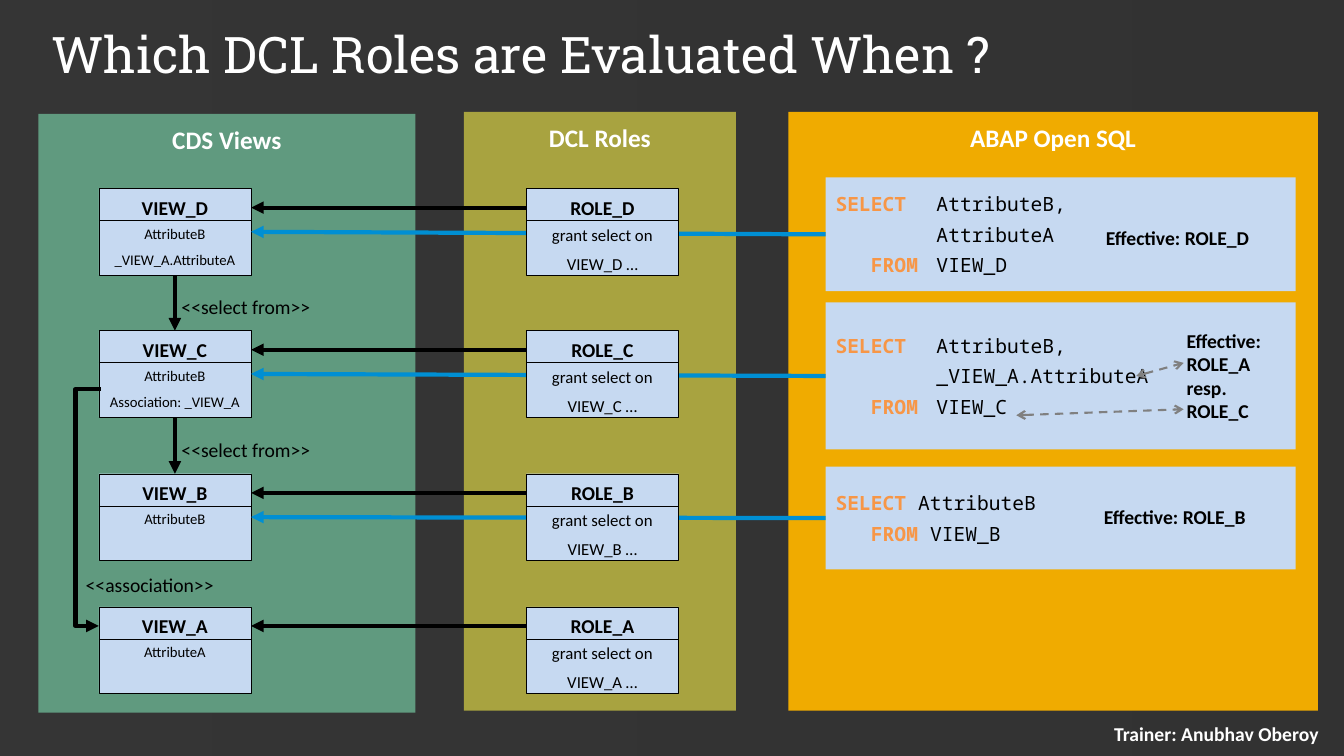
import pptx
import pptx.dml.color
import pptx.enum.dml
import pptx.enum.shapes
import pptx.enum.text
import pptx.oxml
import pptx.oxml.ns
import pptx.util
from lxml import etree

Inches = pptx.util.Inches
ALIGN = pptx.enum.text.PP_ALIGN
ANCHOR = pptx.enum.text.MSO_ANCHOR
CONNECTOR = pptx.enum.shapes.MSO_CONNECTOR

COLORS = {
    "white": "FFFFFF", "edge": "D9D9D9", "dark": "262626", "black": "000000",
    "green": "609A7F", "olive": "A8A340", "amber": "F0AB00", "card": "C6D9F1",
    "blue": "008FD3", "keyword": "F79646", "gray": "808080",
}
WIDTH, HEIGHT = 13.33, 7.5
TOP, BOTTOM, LEFT, RIGHT = 0, 2, 1, 3  # connection sites of a rectangle

PANELS = [  # heading, fill, box
    ("ABAP Open SQL", "amber", (7.82, 1.11, 5.25, 5.94)),
    ("DCL Roles", "olive", (4.6, 1.11, 2.7, 5.94)),
    ("CDS Views", "green", (0.38, 1.13, 3.74, 5.94)),
]
ROWS = {"D": 1.87, "C": 3.28, "B": 4.7, "A": 6.02}
VIEW_COLUMN, ROLE_COLUMN, CODE_COLUMN = 0.98, 5.22, 8.19
CARD_WIDTH, CARD_HEIGHT, HEADER_HEIGHT, CODE_WIDTH = 1.51, 0.86, 0.32, 4.66
HEADER_MIDDLE = 0.19
VIEW_LINES = {
    "D": ["AttributeB", "_VIEW_A.AttributeA"],
    "C": ["AttributeB", "Association: _VIEW_A"],
    "B": ["AttributeB"],
    "A": ["AttributeA"],
}
QUERIES = {  # row: top, height, lines of (text, is keyword)
    "D": (1.76, 1.13, [[("SELECT", True), ("\tAttributeB,", False)],
                       [("\tAttributeA", False)],
                       [("   FROM", True), ("\tVIEW_D", False)]]),
    "C": (3.0, 1.46, [[("SELECT", True), ("\tAttributeB,", False)],
                      [("\t_VIEW_A.AttributeA", False)],
                      [("   FROM", True), ("\tVIEW_C", False)]]),
    "B": (4.63, 1.02, [[("SELECT ", True), ("AttributeB", False)],
                       [("   FROM ", True), ("VIEW_B", False)]]),
}
LABELS = [  # text, box
    ("<<select from>>", (1.8, 2.93, 1.61, 0.24)),
    ("<<select from>>", (1.8, 4.34, 1.61, 0.24)),
    ("<<association>>", (0.85, 5.68, 1.75, 0.24)),
]
EFFECTIVE = [
    ("Effective: ROLE_D", (10.87, 2.19, 1.99, 0.34)),
    ("Effective: ROLE_A resp. ROLE_C", (11.67, 3.21, 1.1, 1.04)),
    ("Effective: ROLE_B", (10.85, 4.96, 1.93, 0.34)),
]
DASHED_ARROWS = [((10.08, 4.12), (11.74, 4.06)), ((11.27, 3.73), (11.74, 3.6))]


def color(name):
    return pptx.dml.color.RGBColor.from_string(COLORS[name])


def set_all(target, values):
    for name, value in values.items():
        setattr(target, name, value)


def format_font(font, size, color_name="white", bold=False, name="Calibri"):
    set_all(font, {"size": pptx.util.Pt(size), "name": name, "bold": bold})
    font.color.rgb = color(color_name)


def format_frame(frame, insets=(0, 0), anchor=ANCHOR.TOP):
    """Set wrapping, anchor and the (side, top and bottom) insets."""
    side, end = map(Inches, insets)
    set_all(frame, {
        "word_wrap": True, "vertical_anchor": anchor, "margin_left": side,
        "margin_right": side, "margin_top": end, "margin_bottom": end,
    })


def write_lines(frame, lines, size, color_name="black", bold=False,
                align=ALIGN.LEFT, gap=6):
    for index, line in enumerate(lines):
        paragraph = frame.add_paragraph() if index else frame.paragraphs[0]
        set_all(paragraph, {"alignment": align,
                            "space_before": pptx.util.Pt(gap if index else 0)})
        run = paragraph.add_run()
        run.text = line
        format_font(run.font, size, color_name, bold)


def add_rectangle(slide, box, fill, border=None):
    shape = slide.shapes.add_shape(
        pptx.enum.shapes.MSO_SHAPE.RECTANGLE, *map(Inches, box))
    shape.shadow.inherit = False
    shape.fill.solid()
    shape.fill.fore_color.rgb = color(fill)
    if border:
        shape.line.color.rgb = color("black")
        shape.line.width = pptx.util.Pt(border)
    else:
        shape.line.fill.background()
    return shape


def add_text(slide, box, lines, size, insets=(0, 0), anchor=ANCHOR.TOP, **style):
    frame = slide.shapes.add_textbox(*map(Inches, box)).text_frame
    format_frame(frame, insets, anchor)
    write_lines(frame, lines, size, **style)


def add_line(slide, start, end, color_name="black", width=3, head=None,
             tail="triangle", kind=CONNECTOR.STRAIGHT):
    connector = slide.shapes.add_connector(kind, *map(Inches, (*start, *end)))
    connector.line.color.rgb = color(color_name)
    connector.line.width = pptx.util.Pt(width)
    outline = connector.line._get_or_add_ln()
    for tag, arrow in (("a:headEnd", head), ("a:tailEnd", tail)):
        if arrow:
            etree.SubElement(outline, pptx.oxml.ns.qn(tag), type=arrow)
    etree.SubElement(connector.element.spPr, pptx.oxml.ns.qn("a:effectLst"))
    return connector


def join(slide, source, source_site, target, target_site, color_name="black"):
    connector = add_line(slide, (0, 0), (1, 1), color_name)
    connector.begin_connect(source, source_site)
    connector.end_connect(target, target_site)


def add_panel(slide, heading, fill, box):
    frame = add_rectangle(slide, box, fill).text_frame
    format_frame(frame, (0.1, 0.1))
    write_lines(frame, [heading], 18, "white", True, ALIGN.CENTER)


def add_card(slide, left, top, heading, lines, size):
    card = add_rectangle(slide, (left, top, CARD_WIDTH, CARD_HEIGHT), "card", 0.25)
    divider = top + HEADER_HEIGHT
    add_line(slide, (left, divider), (left + CARD_WIDTH, divider), width=0.5, tail=None)
    add_text(slide, (left, top + 0.07, CARD_WIDTH, 0.24), [heading], 14,
             bold=True, align=ALIGN.CENTER)
    add_text(slide, (left, divider + 0.04, CARD_WIDTH, 0.49), lines, size,
             align=ALIGN.CENTER)
    return card


def add_query(slide, top, height, lines):
    shape = add_rectangle(slide, (CODE_COLUMN, top, CODE_WIDTH, height), "card")
    frame = shape.text_frame
    format_frame(frame, (0.1, 0.08), ANCHOR.MIDDLE)
    for index, pieces in enumerate(lines):
        paragraph = frame.add_paragraph() if index else frame.paragraphs[0]
        set_all(paragraph, {"alignment": ALIGN.LEFT,
                            "space_before": pptx.util.Pt(5 if index else 0)})
        tabs = etree.SubElement(paragraph._p.get_or_add_pPr(), pptx.oxml.ns.qn("a:tabLst"))
        etree.SubElement(tabs, pptx.oxml.ns.qn("a:tab"), pos=str(Inches(1)), algn="l")
        for text, is_keyword in pieces:
            run = paragraph.add_run()
            run.text = text
            format_font(run.font, 14, "keyword" if is_keyword else "black",
                        is_keyword, "Noto Sans Mono")
    return shape


def add_association(slide):
    """Draw the elbow that leaves VIEW_C on the left and returns to VIEW_A."""
    start = (VIEW_COLUMN + 0.02, ROWS["C"] + 0.58)
    end = (VIEW_COLUMN, ROWS["A"] + HEADER_MIDDLE)
    elbow = add_line(slide, start, end, kind=CONNECTOR.ELBOW)
    adjustments = elbow.element.xpath(".//a:avLst")[0]
    etree.SubElement(adjustments, pptx.oxml.ns.qn("a:gd"), name="adj1",
                     fmla="val 1250000")


def add_backdrop(slide):
    fill = slide.background.fill
    fill.gradient()
    for stop, name in zip(fill.gradient_stops, ("white", "edge")):
        stop.color.rgb = color(name)
    veil = add_rectangle(slide, (0, 0, WIDTH, HEIGHT), "dark")
    tint = veil.element.xpath("./p:spPr/a:solidFill/a:srgbClr")[0]
    etree.SubElement(tint, pptx.oxml.ns.qn("a:alpha"), val="93000")
    slide.shapes.title.element.addprevious(veil.element)


def add_title(slide, text):
    title = slide.shapes.title
    set_all(title, dict(zip(("left", "top", "width", "height"),
                            map(Inches, (0.38, 0.14, 12, 0.78)))))
    format_frame(title.text_frame, (0.13, 0.07), ANCHOR.MIDDLE)
    title.text_frame.text = text
    paragraph = title.text_frame.paragraphs[0]
    paragraph.alignment = ALIGN.LEFT
    format_font(paragraph.runs[0].font, 36, name="Roboto Slab")


def main():
    presentation = pptx.Presentation()
    set_all(presentation, {"slide_width": Inches(WIDTH), "slide_height": Inches(HEIGHT)})
    slide = presentation.slides.add_slide(presentation.slide_layouts[5])
    add_backdrop(slide)
    add_title(slide, "Which DCL Roles are Evaluated When ?")
    add_text(slide, (10.84, 7.08, 2.45, 0.39), ["Trainer: Anubhav Oberoy"], 14,
             (0.13, 0.07), ANCHOR.MIDDLE, color_name="white", bold=True,
             align=ALIGN.CENTER)
    for panel in PANELS:
        add_panel(slide, *panel)
    views = {row: add_card(slide, VIEW_COLUMN, top, f"VIEW_{row}", VIEW_LINES[row], 10.5)
             for row, top in ROWS.items()}
    for row, query in QUERIES.items():
        join(slide, add_query(slide, *query), LEFT, views[row], RIGHT, "blue")
    for row, top in ROWS.items():
        add_card(slide, ROLE_COLUMN, top, f"ROLE_{row}",
                 ["grant select on", f"VIEW_{row} …"], 12)
        level = top + HEADER_MIDDLE
        add_line(slide, (ROLE_COLUMN, level), (VIEW_COLUMN + CARD_WIDTH, level))
    for upper, lower in ("DC", "CB"):
        join(slide, views[upper], BOTTOM, views[lower], TOP)
    add_association(slide)
    for text, box in LABELS:
        add_text(slide, box, [text], 14)
    for text, box in EFFECTIVE:
        add_text(slide, box, [text], 14, (0.1, 0.05), bold=True)
    for start, end in DASHED_ARROWS:
        arrow = add_line(slide, start, end, "gray", 1.5, "arrow", "arrow")
        arrow.line.dash_style = pptx.enum.dml.MSO_LINE.DASH
    presentation.save("out.pptx")


if __name__ == "__main__":
    main()
